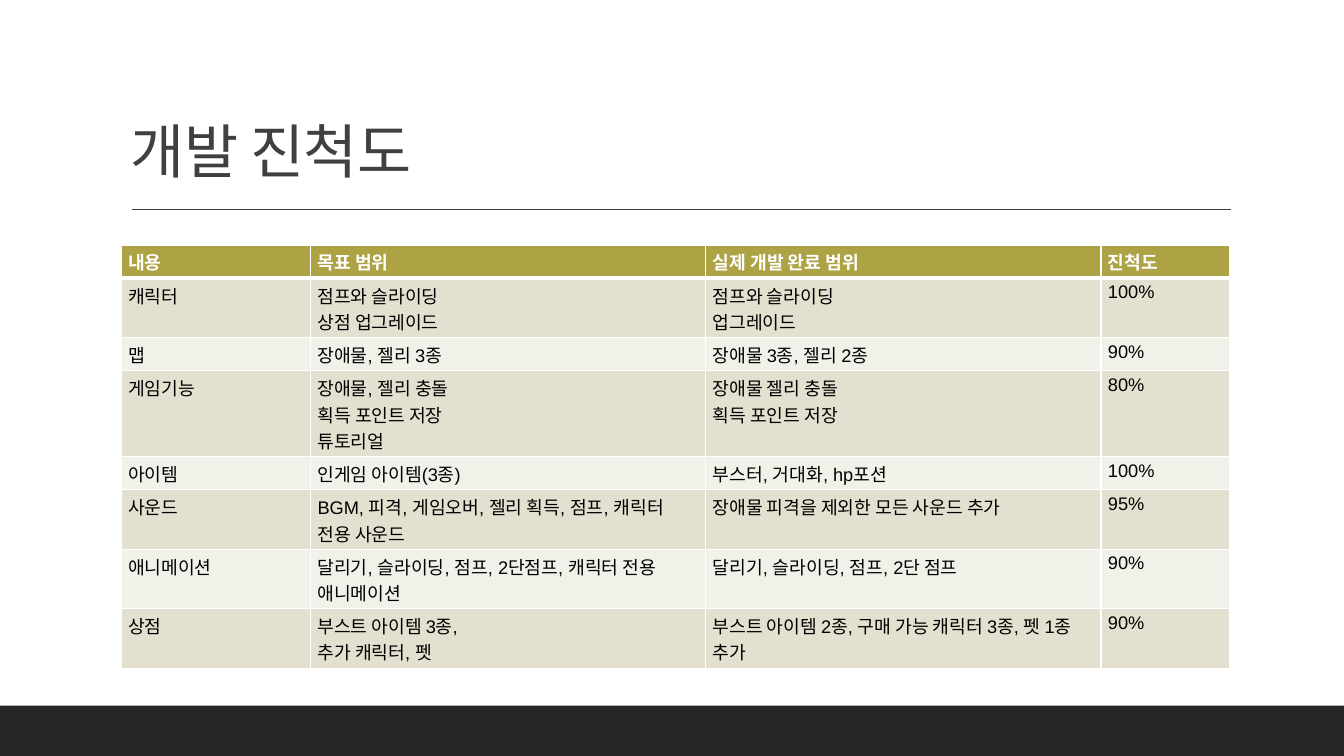
from lxml import etree
from pptx import Presentation
from pptx import util as u
from pptx.dml.color import RGBColor
from pptx.enum import shapes, text
from pptx.oxml.ns import qn

COLORS = {
    "footer": "262626",
    "title": "404040",
    "header": "ADA244",
    "odd row": "E3E0CF",
    "even row": "F1F0E9",
    "white": "FFFFFF",
    "black": "000000",
}
FONT = "Arial"
TITLE = "개발 진척도"
HEADER = ("내용", "목표 범위", "실제 개발 완료 범위", "진척도")
PROGRESS = [
    ("캐릭터", "점프와 슬라이딩\n상점 업그레이드", "점프와 슬라이딩\n업그레이드", "100%"),
    ("맵", "장애물, 젤리 3종", "장애물 3종, 젤리 2종", "90%"),
    ("게임기능", "장애물, 젤리 충돌\n획득 포인트 저장\n튜토리얼",
     "장애물 젤리 충돌\n획득 포인트 저장", "80%"),
    ("아이템", "인게임 아이템(3종)", "부스터, 거대화, hp포션", "100%"),
    ("사운드", "BGM, 피격, 게임오버, 젤리 획득, 점프, 캐릭터 전용 사운드",
     "장애물 피격을 제외한 모든 사운드 추가", "95%"),
    ("애니메이션", "달리기, 슬라이딩, 점프, 2단점프, 캐릭터 전용 애니메이션",
     "달리기, 슬라이딩, 점프, 2단 점프", "90%"),
    ("상점", "부스트 아이템 3종,\n추가 캐릭터, 펫",
     "부스트 아이템 2종, 구매 가능 캐릭터 3종, 펫 1종 추가", "90%"),
]
ROW_LINES = (1, 2, 1, 3, 1, 2, 2, 2)
COLUMN_WIDTHS = (1.88, 3.92, 3.92, 1.28)
FIRST_LINE, NEXT_LINE = 0.33, 0.26

WIDTH, HEIGHT = 13.33, 7.5
LEFT, CONTENT_WIDTH = 1.2, 11
FOOTER_HEIGHT = HEIGHT / 15
RULE_LEFT, RULE_RIGHT, RULE_TOP = 1.31, 12.21, 2.08
TABLE_TOP = 2.43


def color(name):
    """Return the named colour."""
    return RGBColor.from_string(COLORS[name])


def style(paragraph, size, color_name, bold=False):
    """Set the font of a whole paragraph."""
    font = paragraph.font
    font.name, font.size, font.bold = FONT, u.Pt(size), bold
    font.color.rgb = color(color_name)


def add_footer(slide):
    """Draw the dark band along the bottom edge."""
    band = slide.shapes.add_shape(
        shapes.MSO_SHAPE.RECTANGLE, 0, u.Inches(HEIGHT - FOOTER_HEIGHT),
        u.Inches(WIDTH), u.Inches(FOOTER_HEIGHT))
    band.shadow.inherit = False
    band.fill.solid()
    band.fill.fore_color.rgb = color("footer")
    band.line.fill.background()


def add_rule(slide):
    """Draw the thin line under the title."""
    rule = slide.shapes.add_connector(
        shapes.MSO_CONNECTOR.STRAIGHT, u.Inches(RULE_LEFT), u.Inches(RULE_TOP),
        u.Inches(RULE_RIGHT), u.Inches(RULE_TOP))
    rule.line.color.rgb = color("title")
    rule.line.width = u.Pt(1)
    etree.SubElement(rule._element.spPr, qn("a:effectLst"))


def add_title(slide):
    """Write the title, resting on the bottom of its box."""
    box = slide.shapes.add_textbox(
        u.Inches(LEFT), u.Inches(0.31), u.Inches(CONTENT_WIDTH), u.Inches(1.59))
    frame = box.text_frame
    frame.word_wrap = True
    frame.vertical_anchor = text.MSO_ANCHOR.BOTTOM
    frame.text = TITLE
    paragraph = frame.paragraphs[0]
    paragraph.line_spacing = 0.9
    style(paragraph, 42, "title")
    paragraph.runs[0].font._element.set("spc", "-50")


def set_borders(cell, top, bottom):
    """Give a cell white borders; top and bottom widths are in points."""
    properties = cell._tc.get_or_add_tcPr()
    edges = (("L", 1), ("R", 1), ("T", top), ("B", bottom))
    for position, (side, width) in enumerate(edges):
        line = etree.Element(qn(f"a:ln{side}"), w=str(u.Pt(width)))
        fill = etree.SubElement(line, qn("a:solidFill"))
        etree.SubElement(fill, qn("a:srgbClr"), val=COLORS["white"])
        properties.insert(position, line)


def fill_cell(cell, content, row):
    """Write and style one table cell according to its row."""
    is_header = row == 0
    cell.margin_left = cell.margin_right = u.Inches(0.07)
    cell.margin_top = cell.margin_bottom = u.Inches(0.04)
    cell.text = content
    for paragraph in cell.text_frame.paragraphs:
        style(paragraph, 13, "white" if is_header else "black", is_header)
    band = "header" if is_header else "odd row" if row % 2 else "even row"
    cell.fill.solid()
    cell.fill.fore_color.rgb = color(band)
    set_borders(cell, top=3 if row == 1 else 1, bottom=3 if is_header else 1)


def add_progress_table(slide):
    """Build the table; row heights follow from their line counts."""
    rows = [HEADER, *PROGRESS]
    heights = [FIRST_LINE + NEXT_LINE * (lines - 1) for lines in ROW_LINES]
    table = slide.shapes.add_table(
        len(rows), len(HEADER), u.Inches(LEFT), u.Inches(TABLE_TOP),
        u.Inches(CONTENT_WIDTH), u.Inches(sum(heights))).table
    for column, width in zip(table.columns, COLUMN_WIDTHS):
        column.width = u.Inches(width)
    for row, (contents, height) in enumerate(zip(rows, heights)):
        table.rows[row].height = u.Inches(height)
        for column, content in enumerate(contents):
            fill_cell(table.cell(row, column), content, row)


presentation = Presentation()
presentation.slide_width = u.Inches(WIDTH)
presentation.slide_height = u.Inches(HEIGHT)
slide = presentation.slides.add_slide(presentation.slide_layouts[6])
add_footer(slide)
add_rule(slide)
add_title(slide)
add_progress_table(slide)
presentation.save("out.pptx")
